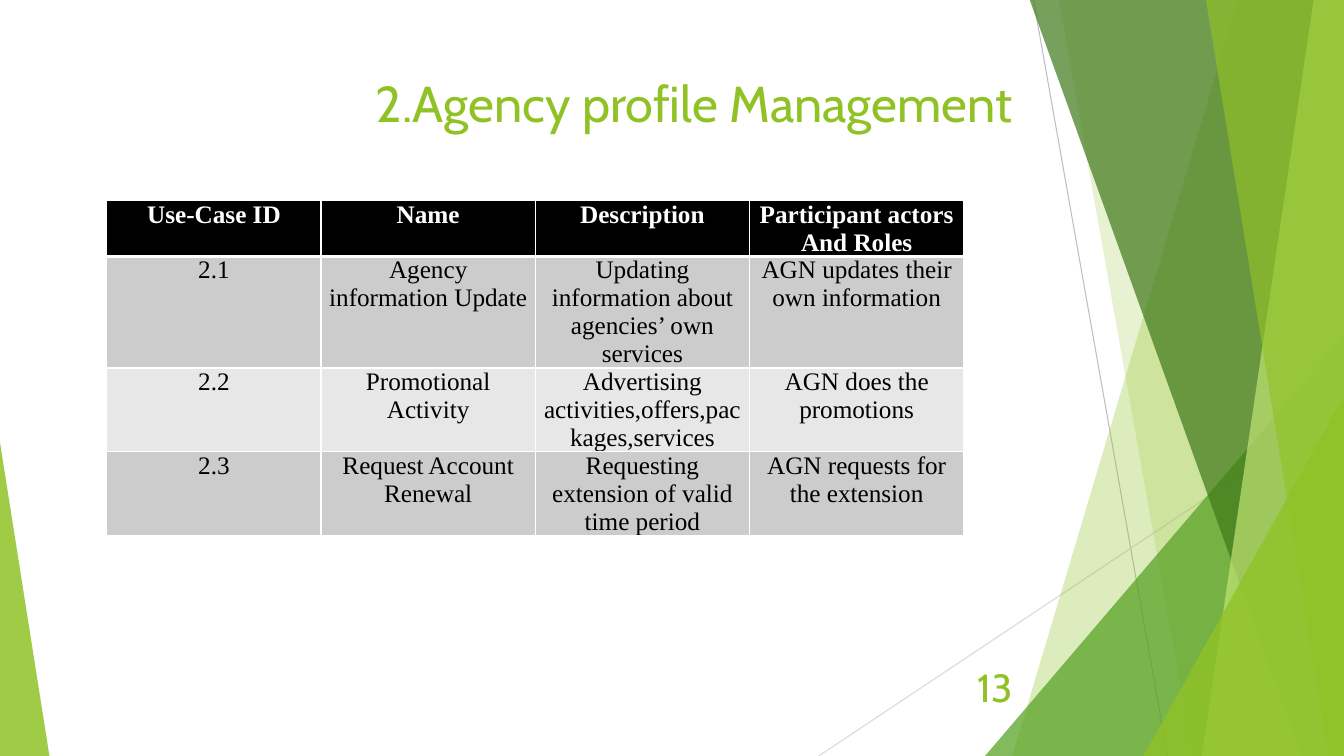
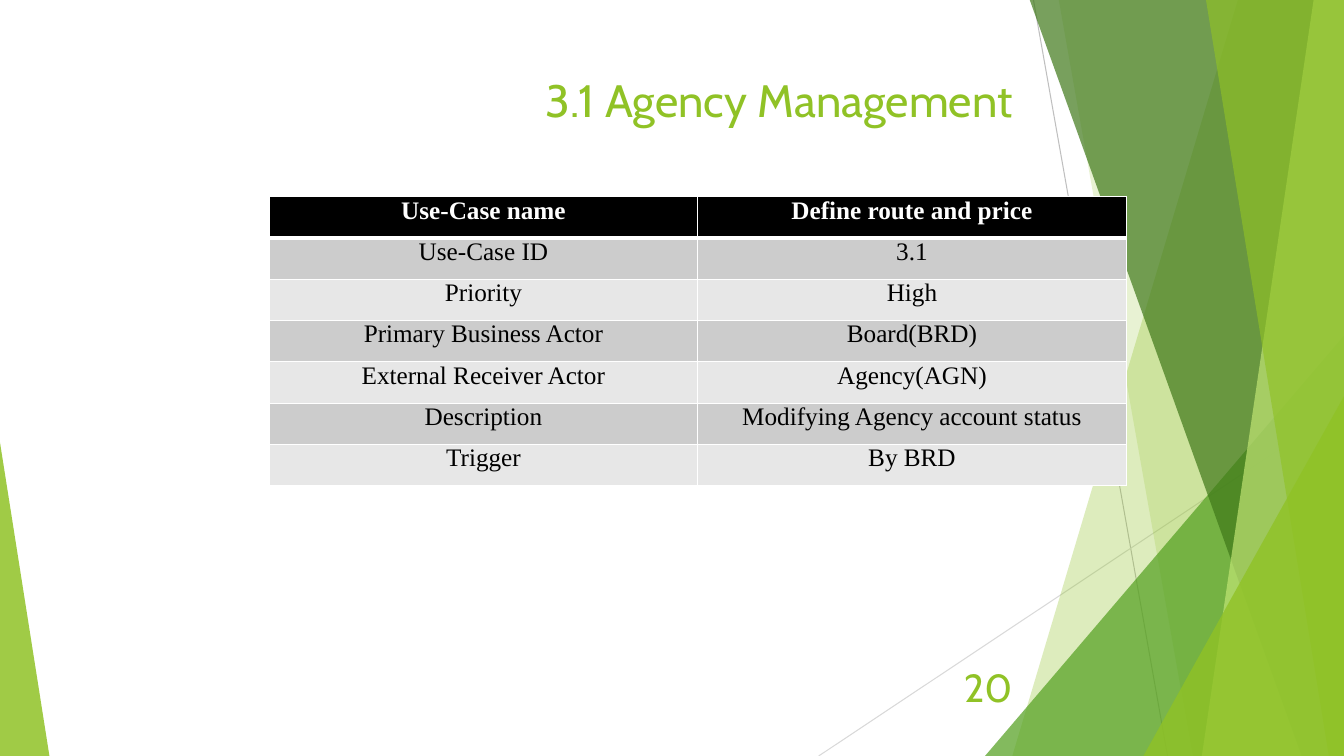
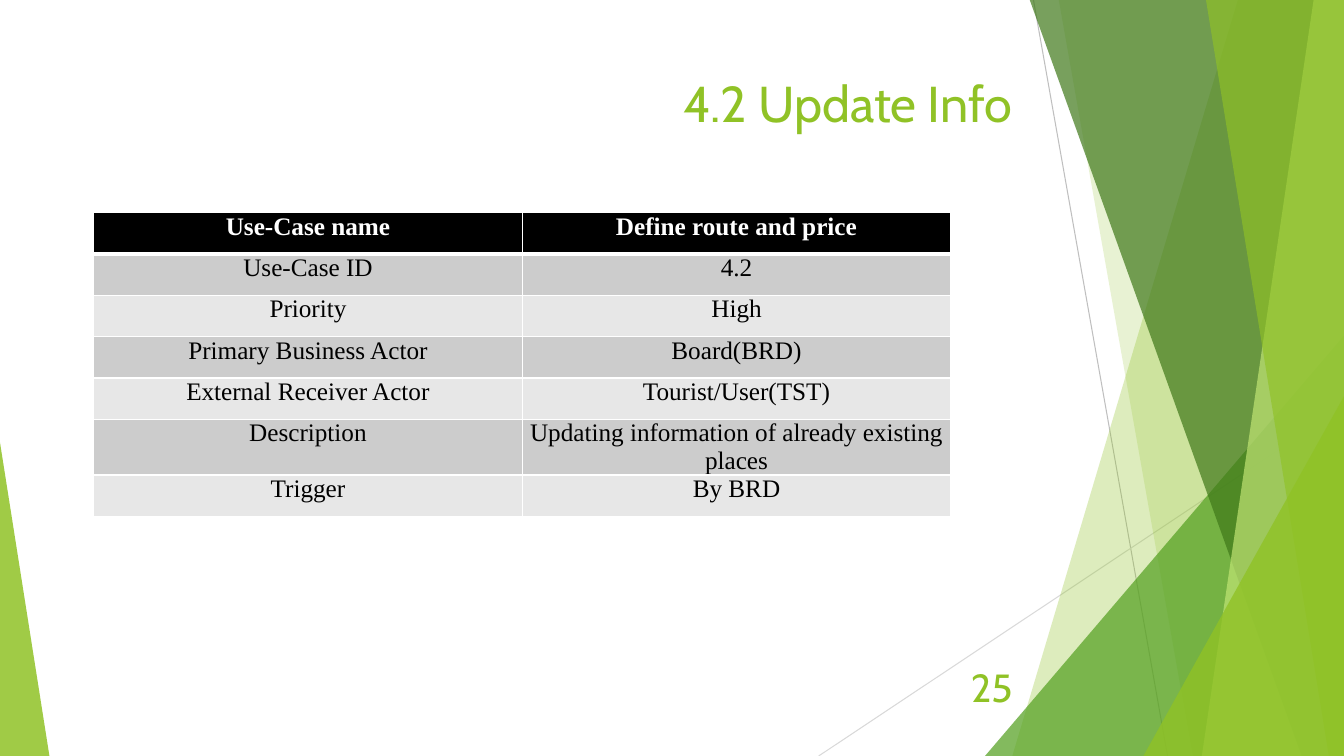
"""Build three use-case slides with a shared green facet backdrop."""
from dataclasses import dataclass
from typing import NamedTuple

from lxml import etree
from pptx import Presentation
from pptx.dml.color import RGBColor
from pptx.enum import shapes, text
from pptx.oxml.ns import qn
from pptx.util import Inches, Pt


@dataclass(frozen=True)
class Theme:
    green: str = "90C226"
    mid_green: str = "54A021"
    dark_green: str = "3F7819"
    pale_green: str = "C0E474"
    white: str = "FFFFFF"
    black: str = "000000"
    bands: tuple[str, str] = ("CCCCCC", "E7E7E7")
    rule_dark: str = "BFBFBF"
    rule_light: str = "D9D9D9"
    heading_font: str = "Cabin"
    table_font: str = "Times New Roman"
    title_size: float = 36
    number_size: float = 28
    table_size: float = 18
    rule_width: float = 0.75
    border: float = 1
    header_border: float = 3


T = Theme()
WIDTH, HEIGHT, BLEED = 13.33, 7.5, -0.01
TABLE_WIDTH, ROW_HEIGHT = 8.5, 0.41


class Rule(NamedTuple):
    x1: float
    y1: float
    x2: float
    y2: float
    color: str


class Facet(NamedTuple):
    top_x: float
    bottom_x: float
    color: str
    alpha: int


class Wedge(NamedTuple):
    left: float
    top: float
    width: float
    apex: float
    color: str
    alpha: int


class UseCaseSlide(NamedTuple):
    title: str
    number: int
    left: float
    top: float
    rows: list[tuple[str, ...]]
    title_size: float = T.title_size


BACKDROP = [
    Rule(10.25, 0, 11.58, HEIGHT, T.rule_dark),
    Rule(WIDTH, 4.03, 8.12, HEIGHT, T.rule_light),
    Facet(12.28, 10.04, T.green, 30),
    Facet(10.5, 11.83, T.green, 20),
    Wedge(9.77, 3.33, 3.56, 1, T.mid_green, 72),
    Facet(10.21, 12.91, T.dark_green, 70),
    Facet(13.03, 11.92, T.pale_green, 70),
    Facet(11.96, 13.18, T.green, 65),
    Wedge(11.34, 3.93, 1.99, 1, T.green, 80),
    Wedge(0, 4.39, 0.49, 0, T.green, 85),
]


def detail_rows(case_id: str, receiver: str, description: str) -> list[tuple[str, ...]]:
    return [
        ("Use-Case name", "Define route and price"),
        ("Use-Case ID", case_id),
        ("Priority", "High"),
        ("Primary Business Actor", "Board(BRD)"),
        ("External Receiver Actor", receiver),
        ("Description", description),
        ("Trigger", "By BRD"),
    ]


SLIDES = [
    UseCaseSlide("2.Agency profile Management", 13, 1.06, 1.99, [
        ("Use-Case ID", "Name", "Description", "Participant actors\nAnd Roles"),
        ("2.1", "Agency information Update",
         "Updating information about agencies’ own services",
         "AGN updates their own information"),
        ("2.2", "Promotional Activity",
         "Advertising activities,offers,packages,services",
         "AGN does the promotions"),
        ("2.3", "Request Account Renewal",
         "Requesting extension of valid time period",
         "AGN requests for the extension"),
    ]),
    UseCaseSlide("3.1 Agency Management", 20, 2.67, 1.95,
                 detail_rows("3.1", "Agency(AGN)", "Modifying Agency account status"),
                 title_size=32.4),
    UseCaseSlide("4.2 Update Info", 25, 0.93, 2.11,
                 detail_rows("4.2", "Tourist/User(TST)",
                             "Updating information of already existing places")),
]


def rgb(color: str) -> RGBColor:
    return RGBColor.from_string(color)


def paint(sp, color: str, alpha: int) -> None:
    sp.shadow.inherit = False
    sp.fill.solid()
    sp.fill.fore_color.rgb = rgb(color)
    sp.line.fill.background()
    srgb = sp.element.spPr.find(qn("a:solidFill"))[0]
    etree.SubElement(srgb, qn("a:alpha")).set("val", str(alpha * 1000))


def draw_rule(canvas, rule: Rule) -> None:
    ends = [Inches(v) for v in rule[:4]]
    line = canvas.add_connector(shapes.MSO_CONNECTOR.STRAIGHT, *ends)
    line.line.color.rgb = rgb(rule.color)
    line.line.width = Pt(T.rule_width)
    etree.SubElement(line.element.spPr, qn("a:effectLst"))


def draw_facet(canvas, facet: Facet) -> None:
    corners = [(WIDTH, BLEED), (WIDTH, HEIGHT), (facet.bottom_x, HEIGHT)]
    outline = canvas.build_freeform(Inches(facet.top_x), Inches(BLEED))
    outline.add_line_segments([(Inches(x), Inches(y)) for x, y in corners])
    paint(outline.convert_to_shape(), facet.color, facet.alpha)


def draw_wedge(canvas, wedge: Wedge) -> None:
    sp = canvas.add_shape(shapes.MSO_SHAPE.ISOSCELES_TRIANGLE,
                          Inches(wedge.left), Inches(wedge.top),
                          Inches(wedge.width), Inches(HEIGHT - wedge.top))
    sp.adjustments[0] = wedge.apex
    paint(sp, wedge.color, wedge.alpha)


def move_backdrop_to_layout(s, layout) -> None:
    group = s.shapes.add_group_shape()
    painters = {Rule: draw_rule, Facet: draw_facet, Wedge: draw_wedge}
    for item in BACKDROP:
        painters[type(item)](group.shapes, item)
    layout.shapes.element.insert(2, group.element)


def write_heading(sp, content: str, size: float, anchor) -> None:
    tf = sp.text_frame
    tf.text = content
    tf.word_wrap = True
    tf.auto_size = text.MSO_AUTO_SIZE.NONE
    tf.vertical_anchor = anchor
    p = tf.paragraphs[0]
    p.alignment = text.PP_ALIGN.RIGHT
    p.font.name, p.font.size = T.heading_font, Pt(size)
    p.font.color.rgb = rgb(T.green)


def set_borders(cell, is_header: bool) -> None:
    props = cell._tc.get_or_add_tcPr()
    for side in ("lnL", "lnR", "lnT", "lnB"):
        heavy = is_header and side == "lnB"
        ln = etree.SubElement(props, qn(f"a:{side}"))
        ln.set("w", str(Pt(T.header_border if heavy else T.border)))
        fill = etree.SubElement(ln, qn("a:solidFill"))
        etree.SubElement(fill, qn("a:srgbClr")).set("val", T.white)


def write_cell(cell, content: str, row: int) -> None:
    is_header = row == 0
    set_borders(cell, is_header)
    cell.fill.solid()
    cell.fill.fore_color.rgb = rgb(T.black if is_header else T.bands[(row - 1) % 2])
    cell.margin_left = cell.margin_right = Inches(0.07)
    cell.margin_top = cell.margin_bottom = 0
    cell.text = content
    for p in cell.text_frame.paragraphs:
        p.alignment = text.PP_ALIGN.CENTER
        p.font.name, p.font.size = T.table_font, Pt(T.table_size)
        p.font.bold = is_header
        p.font.color.rgb = rgb(T.white if is_header else T.black)


def draw_table(s, spec: UseCaseSlide) -> None:
    n_rows, n_cols = len(spec.rows), len(spec.rows[0])
    table = s.shapes.add_table(n_rows, n_cols, Inches(spec.left), Inches(spec.top),
                               Inches(TABLE_WIDTH), Inches(ROW_HEIGHT * n_rows)).table
    for r, row in enumerate(spec.rows):
        for c, content in enumerate(row):
            write_cell(table.cell(r, c), content, r)


def fill_slide(s, spec: UseCaseSlide) -> None:
    title = s.shapes.title
    title.left, title.top = Inches(0.74), Inches(0.67)
    title.width, title.height = Inches(9.4), Inches(1.44)
    write_heading(title, spec.title, spec.title_size, text.MSO_ANCHOR.TOP)
    draw_table(s, spec)
    number = s.shapes.add_textbox(Inches(9.39), Inches(6.61), Inches(0.75), Inches(0.4))
    write_heading(number, str(spec.number), T.number_size, text.MSO_ANCHOR.MIDDLE)


def main() -> None:
    prs = Presentation()
    prs.slide_width, prs.slide_height = Inches(WIDTH), Inches(HEIGHT)
    layout = prs.slide_layouts.get_by_name("Title Only")
    for i, spec in enumerate(SLIDES):
        s = prs.slides.add_slide(layout)
        if i == 0:
            move_backdrop_to_layout(s, layout)
        fill_slide(s, spec)
    prs.save("out.pptx")


if __name__ == "__main__":
    main()
